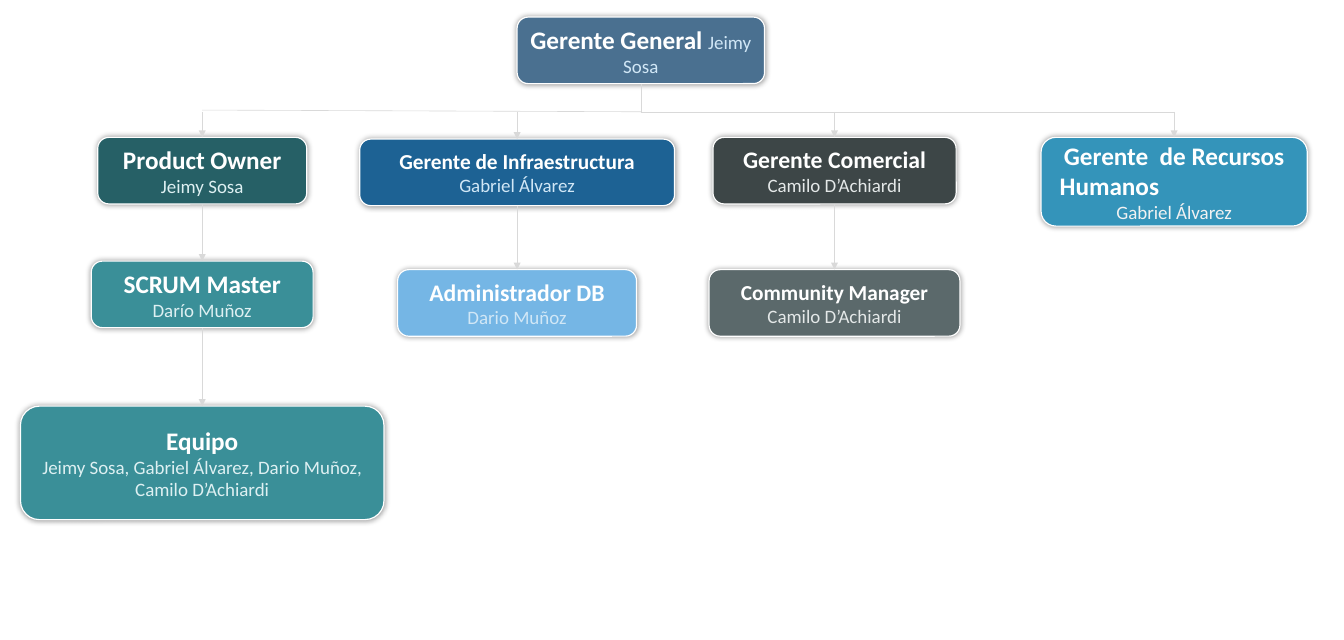
from lxml import etree
from pptx import Presentation
from pptx.dml.color import RGBColor
from pptx.enum.shapes import MSO_CONNECTOR, MSO_SHAPE
from pptx.enum.text import MSO_ANCHOR, PP_ALIGN
from pptx.oxml import parse_xml
from pptx.oxml.ns import nsdecls, qn
from pptx.util import Inches, Pt

BOTTOM, TOP = 2, 0  # connection sites of a rounded rectangle
BUS_Y = 1.32


def rgb(value):
    """Return the colour for a hex string."""
    return RGBColor.from_string(value)


def add_line(x1, y1, x2, y2, arrow=False):
    """Draw a thin grey line, with an arrowhead at its end if asked."""
    cn = slide.shapes.add_connector(
        MSO_CONNECTOR.STRAIGHT, Inches(x1), Inches(y1), Inches(x2), Inches(y2))
    cn.line.color.rgb = rgb("D9D9D9")
    cn.line.width = Pt(0.5)
    if arrow:
        ln = cn.line._get_or_add_ln()
        etree.SubElement(ln, qn("a:tailEnd"), type="triangle")
    etree.SubElement(cn._element.spPr, qn("a:effectLst"))
    return cn


prs = Presentation()
prs.slide_width, prs.slide_height = Inches(15.75), Inches(7.5)
slide = prs.slides.add_slide(prs.slide_layouts[6])

# key: centre x, top, width, height, fill, role lines, role size, person, person colour
boxes = {
    "general": (7.51, 0.2, 2.9, 0.78, "4A7090", ["Gerente General "], 21.3,
                "Jeimy Sosa", "D1E7F6"),
    "owner": (2.37, 1.61, 2.45, 0.78, "266066", ["Product Owner"], 21.3,
              "Jeimy Sosa", "DEF0F2"),
    "infra": (6.06, 1.63, 3.69, 0.78, "1D6294", ["Gerente de Infraestructura"], 18,
              "Gabriel Álvarez", "D1E7F6"),
    "comercial": (9.78, 1.61, 2.85, 0.78, "3D4647", ["Gerente Comercial"], 20,
                  "Camilo D’Achiardi", "E4E8E8"),
    "humanos": (13.76, 1.61, 3.12, 1.04, "3494BA",
                ["Gerente  de Recursos", "Humanos"], 21.3,
                "Gabriel Álvarez", "F2F2F2"),
    "scrum": (2.37, 3.06, 2.6, 0.78, "3A8F98", ["SCRUM Master"], 21.3,
              "Darío Muñoz", "DEF0F2"),
    "admin": (6.06, 3.16, 2.8, 0.78, "75B6E5", ["Administrador DB"], 20,
              "Dario Muñoz", "D1E7F6"),
    "community": (9.78, 3.16, 2.94, 0.78, "5B696B", ["Community Manager"], 18,
                  "Camilo D’Achiardi", "E4E8E8"),
    "equipo": (2.37, 4.76, 4.26, 1.33, "3A8F98", ["Equipo"], 21.3,
               "Jeimy Sosa, Gabriel Álvarez, Dario Muñoz, Camilo D’Achiardi", "DEF0F2"),
}

shapes = {}
for key, (cx, top, width, height, fill, roles, size, person, colour) in boxes.items():
    sp = slide.shapes.add_shape(MSO_SHAPE.ROUNDED_RECTANGLE, Inches(cx - width / 2),
                                Inches(top), Inches(width), Inches(height))
    shapes[key] = sp
    sp.fill.solid()
    sp.fill.fore_color.rgb = rgb(fill)
    sp.line.color.rgb = rgb("FFFFFF")
    sp.line.width = Pt(1)
    sp._element.spPr.append(parse_xml(
        f'<a:effectLst {nsdecls("a")}><a:outerShdw blurRad="{Pt(5)}" dist="0" dir="0" '
        'algn="ctr" rotWithShape="0"><a:srgbClr val="000000"><a:alpha val="40000"/>'
        '</a:srgbClr></a:outerShdw></a:effectLst>'))

    tf = sp.text_frame
    tf.word_wrap = True
    tf.vertical_anchor = MSO_ANCHOR.MIDDLE
    # The general manager's name follows the role on the same line
    lines = [[(role, size, "FFFFFF", True)] for role in roles]
    person_run = (person, 16, colour, False)
    if key == "general":
        lines[0].append(person_run)
    else:
        lines.append([person_run])
    for i, runs in enumerate(lines):
        p = tf.paragraphs[0] if i == 0 else tf.add_paragraph()
        p.alignment = PP_ALIGN.CENTER
        p.font.name = "Calibri"
        for text, points, run_colour, bold in runs:
            r = p.add_run()
            r.text = text
            font = p.font if len(runs) == 1 else r.font
            font.name = "Calibri"
            font.size = Pt(points)
            font.bold = bold
            font.color.rgb = rgb(run_colour)

# The second role line of this box starts near its left edge
p = shapes["humanos"].text_frame.paragraphs[1]
p.alignment = PP_ALIGN.LEFT
p._p.get_or_add_pPr().set("marL", str(Inches(0.07)))

# Trunk and the two halves of the bus
trunk_x = boxes["general"][0]
trunk = add_line(trunk_x, 0.98, trunk_x, BUS_Y)
trunk.begin_connect(shapes["general"], BOTTOM)
add_line(trunk_x, 1.31, boxes["owner"][0], 1.29)
add_line(trunk_x, BUS_Y, boxes["humanos"][0], BUS_Y)

# Arrows from the bus down to each manager
for key in ("owner", "infra", "comercial", "humanos"):
    cx, top = boxes[key][:2]
    add_line(cx, 1.31, cx, top, arrow=True).end_connect(shapes[key], TOP)

# Arrows from each box to the one below it
for upper, lower in (("owner", "scrum"), ("scrum", "equipo"),
                     ("infra", "admin"), ("comercial", "community")):
    cx, top, _, height = boxes[upper][:4]
    cn = add_line(cx, top + height, cx, boxes[lower][1], arrow=True)
    cn.begin_connect(shapes[upper], BOTTOM)
    cn.end_connect(shapes[lower], TOP)

prs.save("out.pptx")
